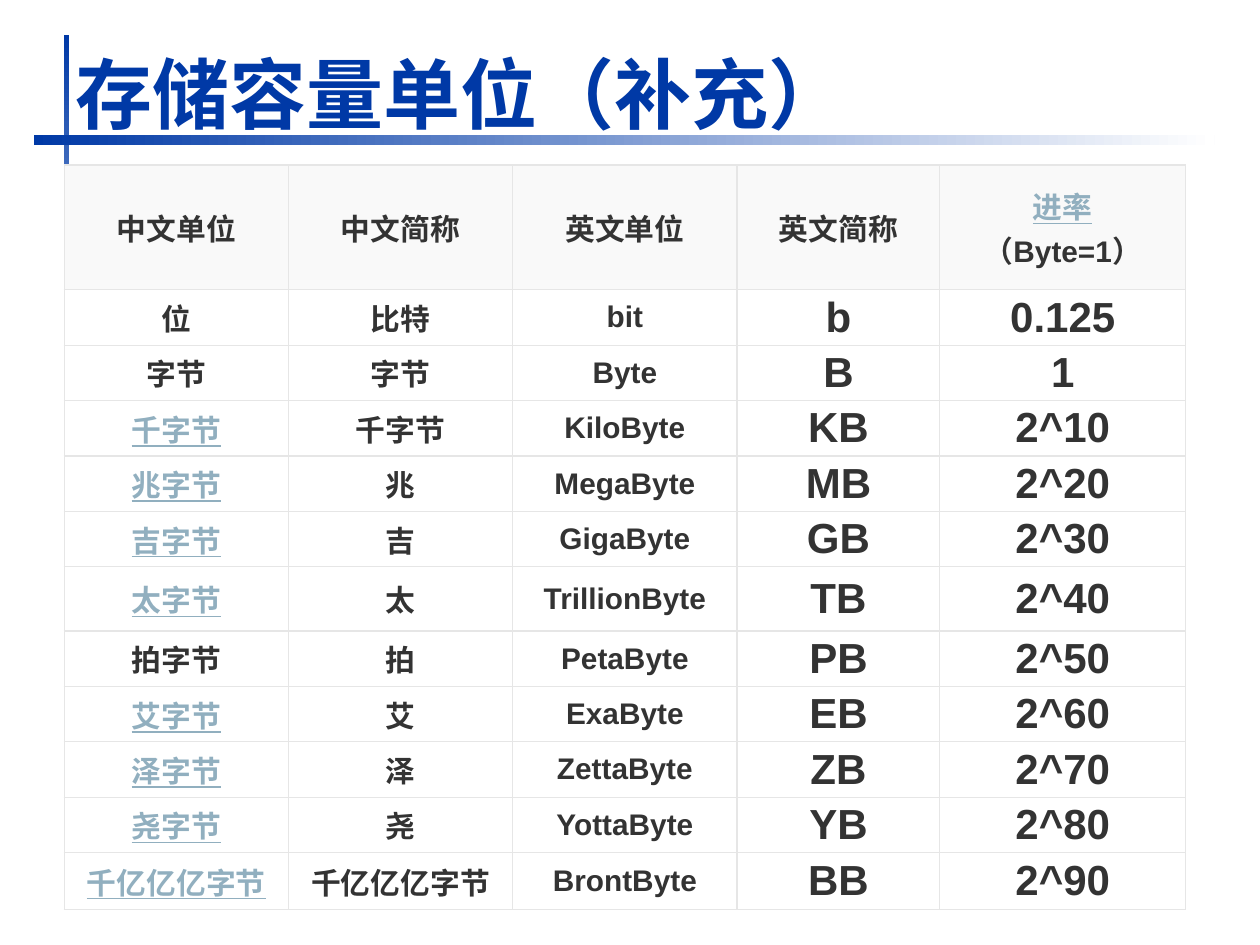
from lxml import etree
from pptx import Presentation
from pptx.dml.color import RGBColor
from pptx.enum.shapes import MSO_SHAPE
from pptx.enum.text import MSO_ANCHOR, PP_ALIGN
from pptx.oxml.ns import qn
from pptx.util import Inches, Pt

RECT = MSO_SHAPE.RECTANGLE
MIDDLE, BOTTOM = MSO_ANCHOR.MIDDLE, MSO_ANCHOR.BOTTOM
LEFT, CENTER = PP_ALIGN.LEFT, PP_ALIGN.CENTER

BLUE = RGBColor(0x00, 0x39, 0xA6)
WHITE = RGBColor(0xFF, 0xFF, 0xFF)
INK = RGBColor(0x33, 0x33, 0x33)
LINK = RGBColor(0x91, 0xAF, 0xBF)
HEADER_FILL = RGBColor(0xF9, 0xF9, 0xF9)
BORDER = RGBColor(0xE6, 0xE6, 0xE6)

FONT = "Arial"
GRID_COLS, GRID_ROWS = 100, 75
UNIT = Inches(0.1)

TITLE_BOX = (5, 3, 90, 8.5)
VERTICAL_BAR = (5.1, 2.8, 0.4, 41.7)
HORIZONTAL_BAR = (2.7, 10.7, 93.7, 0.8)
TABLE_BOX = (5.1, 13.1, 89, 59)
COL_WIDTHS = [17.8] * 3 + [16.1, 19.5]
ROW_HEIGHTS = [9.9] + [4.4] * 5 + [5.1] + [4.4] * 4 + [4.5]

HEADERS = ["中文单位", "中文简称", "英文单位", "英文简称", "进率\n（Byte=1）"]
UNITS = [
    ("位", "比特", "bit", "b", "0.125"),
    ("字节", "字节", "Byte", "B", "1"),
    ("千字节", "千字节", "KiloByte", "KB", "2^10"),
    ("兆字节", "兆", "MegaByte", "MB", "2^20"),
    ("吉字节", "吉", "GigaByte", "GB", "2^30"),
    ("太字节", "太", "TrillionByte", "TB", "2^40"),
    ("拍字节", "拍", "PetaByte", "PB", "2^50"),
    ("艾字节", "艾", "ExaByte", "EB", "2^60"),
    ("泽字节", "泽", "ZettaByte", "ZB", "2^70"),
    ("尧字节", "尧", "YottaByte", "YB", "2^80"),
    ("千亿亿亿字节", "千亿亿亿字节", "BrontByte", "BB", "2^90"),
]
UNLINKED_UNITS = {"位", "字节", "拍字节"}


def grid(*lengths):
    return [int(n * UNIT) for n in lengths]


def add_run(p, text, size, color, underline=False):
    r = p.add_run()
    r.text = text
    r.font.name = FONT
    r.font.size = Pt(size)
    r.font.bold = True
    r.font.underline = underline
    r.font.color.rgb = color


def add_bar(s, box, angle):
    sp = s.shapes.add_shape(RECT, *grid(*box))
    sp.shadow.inherit = False
    sp.line.fill.background()
    sp.fill.gradient()
    sp.fill.gradient_angle = angle
    for stop, color, position in zip(sp.fill.gradient_stops, (BLUE, WHITE), (0, 1)):
        stop.color.rgb = color
        stop.position = position


def add_title(s, box, text):
    sp = s.shapes.title
    s.shapes._spTree.append(sp._element)
    sp.left, sp.top, sp.width, sp.height = grid(*box)
    tf = sp.text_frame
    tf.word_wrap = True
    tf.vertical_anchor = BOTTOM
    p = tf.paragraphs[0]
    p.alignment = LEFT
    add_run(p, text, 44, BLUE)


def set_borders(cell):
    tcPr = cell._tc.get_or_add_tcPr()
    for side in ("a:lnL", "a:lnR", "a:lnT", "a:lnB"):
        ln = etree.SubElement(tcPr, qn(side), w=str(Pt(0.75)))
        fill = etree.SubElement(ln, qn("a:solidFill"))
        etree.SubElement(fill, qn("a:srgbClr"), val=str(BORDER))


def format_cell(cell, fill):
    set_borders(cell)
    cell.fill.solid()
    cell.fill.fore_color.rgb = fill
    cell.vertical_anchor = MIDDLE
    cell.margin_left, cell.margin_right = grid(1, 1)
    cell.margin_top, cell.margin_bottom = grid(0.2, 0.2)
    p = cell.text_frame.paragraphs[0]
    p.alignment = CENTER
    return p


def add_header_cell(cell, text):
    p = format_cell(cell, HEADER_FILL)
    first, _, second = text.partition("\n")
    add_run(p, first, 17, LINK if second else INK, bool(second))
    if second:
        p.add_line_break()
        add_run(p, second, 17, INK)


def add_unit_cell(cell, text, col):
    p = format_cell(cell, WHITE)
    linked = col == 0 and text not in UNLINKED_UNITS
    add_run(p, text, 24 if col >= 3 else 17, LINK if linked else INK, linked)


def add_unit_table(s, box):
    table = s.shapes.add_table(len(UNITS) + 1, len(HEADERS), *grid(*box)).table
    for column, width in zip(table.columns, grid(*COL_WIDTHS)):
        column.width = width
    for row, height in zip(table.rows, grid(*ROW_HEIGHTS)):
        row.height = height
    for col, text in enumerate(HEADERS):
        add_header_cell(table.cell(0, col), text)
    for row, unit in enumerate(UNITS, 1):
        for col, text in enumerate(unit):
            add_unit_cell(table.cell(row, col), text, col)


def main():
    prs = Presentation()
    prs.slide_width, prs.slide_height = grid(GRID_COLS, GRID_ROWS)
    s = prs.slides.add_slide(prs.slide_layouts[5])
    add_bar(s, VERTICAL_BAR, 270)
    add_bar(s, HORIZONTAL_BAR, 0)
    add_title(s, TITLE_BOX, "存储容量单位（补充）")
    add_unit_table(s, TABLE_BOX)
    prs.save("out.pptx")


if __name__ == "__main__":
    main()
